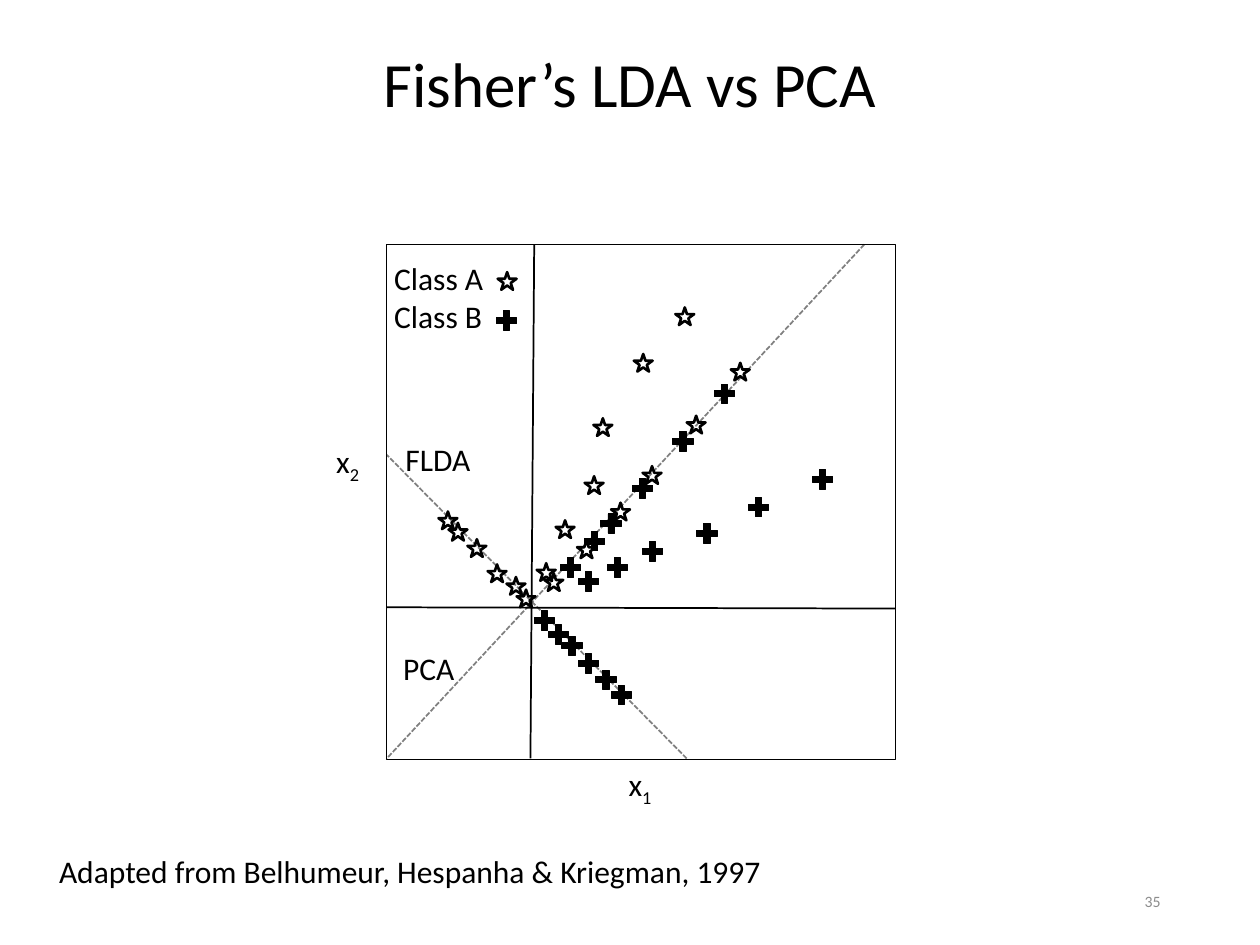
from pptx import Presentation
from pptx.dml.color import RGBColor
from pptx.enum.dml import MSO_LINE as Dash
from pptx.enum.shapes import MSO_CONNECTOR as Link, MSO_SHAPE as Kind
from pptx.enum.text import MSO_ANCHOR as Anchor, PP_ALIGN as Align
from pptx.oxml.ns import qn
from pptx.util import Pt
from lxml.etree import SubElement

PX = 9144  # EMU in one px, 100 px to the inch
BLACK, GREY, PALE = "000000", "808080", "8C8C8C"

# Marker look: preset, width, height, line width, fill
STAR = (Kind.STAR_5_POINT, 15, 14, 1.5, None)
PLUS = (Kind.MATH_PLUS, 22, 21, 0.5, BLACK)

# Top left corners of the markers, measured from the plot's corner
GROUPS = [
    # Samples
    (STAR, [(119, 253), (134, 219), (196, 87), (229, 50), (164, 138), (157, 184)]),
    (PLUS, [(149, 257), (284, 198), (172, 246), (200, 233), (335, 176), (243, 219)]),
    # Class A projected on PCA, then on FLDA
    (STAR, [(125, 261), (151, 235), (238, 136), (273, 94), (203, 176), (178, 205)]),
    (STAR, [(103, 274), (95, 264), (49, 221), (41, 212), (64, 234), (80, 254)]),
    # Class B projected on PCA, then on FLDA
    (PLUS, [(135, 246), (224, 146), (154, 225), (167, 211), (257, 108), (192, 183)]),
    (PLUS, [(114, 288), (163, 335), (125, 299), (136, 308), (175, 347), (149, 322)]),
]


def px(*nums):
    return [n * PX for n in nums]


def paint(target, color):
    target.rgb = RGBColor.from_string(color)


def text(slide, box, lines, size=18, color=BLACK, align=None, wrap=True, **form):
    """Each line is a string, or a pair of a word and its subscript."""
    frame = slide.shapes.add_textbox(*px(*box)).text_frame
    for key, value in {"word_wrap": wrap, **form}.items():
        setattr(frame, key, value)
    for i, line in enumerate(lines):
        para = frame.add_paragraph() if i else frame.paragraphs[0]
        para.alignment = align
        for j, part in enumerate([line] if isinstance(line, str) else line):
            run = para.add_run()
            run.text = part
            for key, value in {"name": "Calibri", "size": Pt(size)}.items():
                setattr(run.font, key, value)
            paint(run.font.color, color)
            if j:
                run.font._element.set("baseline", "-25000")


def shape(slide, kind, box, width, fill=None):
    item = slide.shapes.add_shape(kind, *px(*box))
    item.shadow.inherit = False
    if fill:
        item.fill.solid()
        paint(item.fill.fore_color, fill)
    else:
        item.fill.background()
    paint(item.line.color, BLACK)
    item.line.width = Pt(width)


def mark(slide, look, x, y):
    kind, w, h, width, fill = look
    shape(slide, kind, (x, y, w, h), width, fill)


def rule(slide, ends, color, dash=None):
    item = slide.shapes.add_connector(Link.STRAIGHT, *px(*ends))
    SubElement(item._element.spPr, qn("a:effectLst"))
    paint(item.line.color, color)
    for key, value in {"width": Pt(1), "dash_style": dash}.items():
        setattr(item.line, key, value)


def plot(slide, x, y, w, h):
    def line(x1, y1, x2, y2, *look):
        rule(slide, (x + x1, y + y1, x + x2, y + y2), *look)

    def label(dx, dy, wide, high, *lines):
        text(slide, (x + dx, y + dy, wide, high), lines, wrap=False)

    # Projection directions: PCA, FLDA
    line(379, 0, 0, h - 1, GREY, Dash.SQUARE_DOT)
    line(238, h - 1, 0, 167, GREY, Dash.SQUARE_DOT)

    # Samples and their projections
    for look, spots in GROUPS:
        for dx, dy in spots:
            mark(slide, look, x + dx, y + dy)

    # Axes and frame
    line(117, 0, 114, h - 1, BLACK)
    line(w, 289, 0, 288, BLACK)
    shape(slide, Kind.RECTANGLE, (x, y, w, h), 0.5)

    # Legend
    label(-4, 7, 92, 71, "Class A", "Class B")
    mark(slide, STAR, x + 88, y + 22)
    mark(slide, PLUS, x + 84, y + 50)

    # Direction and axis names
    label(3, 316, 61, 40, "PCA")
    label(5, 150, 73, 40, "FLDA")
    label(182, 408, 40, 40, ("x", "1"))
    label(-50, 152, 40, 40, ("x", "2"))


def main():
    deck = Presentation()
    deck.slide_width, deck.slide_height = px(1000, 750)
    slide = deck.slides.add_slide(deck.slide_layouts[6])

    text(slide, (50, 30, 900, 125), ["Fisher’s LDA vs PCA"], 36, align=Align.CENTER)
    plot(slide, 307, 194, 404, 409)

    # Source and page number
    text(slide, (37, 671, 769, 40),
         ["Adapted from Belhumeur, Hespanha & Kriegman, 1997"])
    text(slide, (706, 695, 225, 40), ["35"], 9, PALE, Align.RIGHT,
         vertical_anchor=Anchor.MIDDLE)

    deck.save("out.pptx")


if __name__ == "__main__":
    main()
